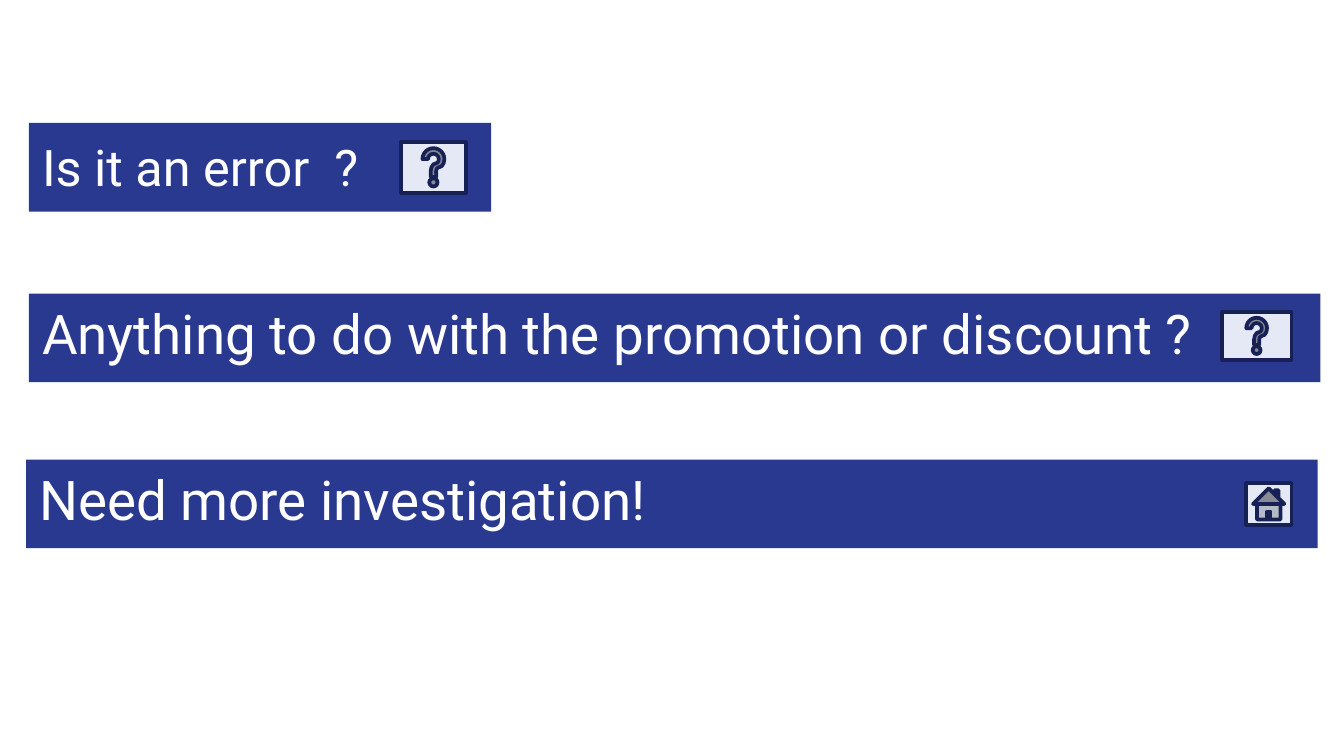
from pptx import Presentation
from pptx import util as u
from pptx.dml.color import RGBColor
from pptx.enum import shapes, text

PX = u.Inches(1) // 200
COLORS = {"banner": "2A3990", "button": "E4E9F5", "outline": "182156", "text": "FFFFFF"}
HELP = shapes.MSO_SHAPE.ACTION_BUTTON_HELP
HOME = shapes.MSO_SHAPE.ACTION_BUTTON_HOME

presentation = Presentation()
presentation.slide_width = 2000 * PX
presentation.slide_height = 1125 * PX
slide = presentation.slides.add_slide(presentation.slide_layouts[6])


def add_filled(kind, box, color):
    shape = slide.shapes.add_shape(kind, *(length * PX for length in box))
    shape.shadow.inherit = False
    shape.fill.solid()
    shape.fill.fore_color.rgb = RGBColor.from_string(COLORS[color])
    return shape


rows = [
    ("Is it an error  ?", 27, 1.0, (43, 183, 688, 132), HELP, (597, 211, 96, 76)),
    ("Anything to do with the promotion or discount ?", 29.25, 0.9,
     (43, 437, 1922, 132), HELP, (1818, 464, 104, 72)),
    ("Need more investigation!", 29.25, 0.9,
     (39, 684, 1922, 132), HOME, (1854, 719, 68, 62)),
]

for wording, size, spacing, banner_box, button_kind, button_box in rows:
    banner = add_filled(shapes.MSO_SHAPE.RECTANGLE, banner_box, "banner")
    banner.line.fill.background()
    frame = banner.text_frame
    frame.word_wrap = True
    frame.vertical_anchor = text.MSO_ANCHOR.TOP
    frame.margin_left = frame.margin_right = 20 * PX
    frame.margin_top = frame.margin_bottom = 20 * PX
    paragraph = frame.paragraphs[0]
    paragraph.text = wording
    paragraph.alignment = text.PP_ALIGN.LEFT
    paragraph.line_spacing = spacing
    paragraph.font.name = "Roboto"
    paragraph.font.size = u.Pt(size)
    paragraph.font.color.rgb = RGBColor.from_string(COLORS["text"])

    button = add_filled(button_kind, button_box, "button")
    button.line.color.rgb = RGBColor.from_string(COLORS["outline"])
    button.line.width = u.Pt(2)

presentation.save("out.pptx")
